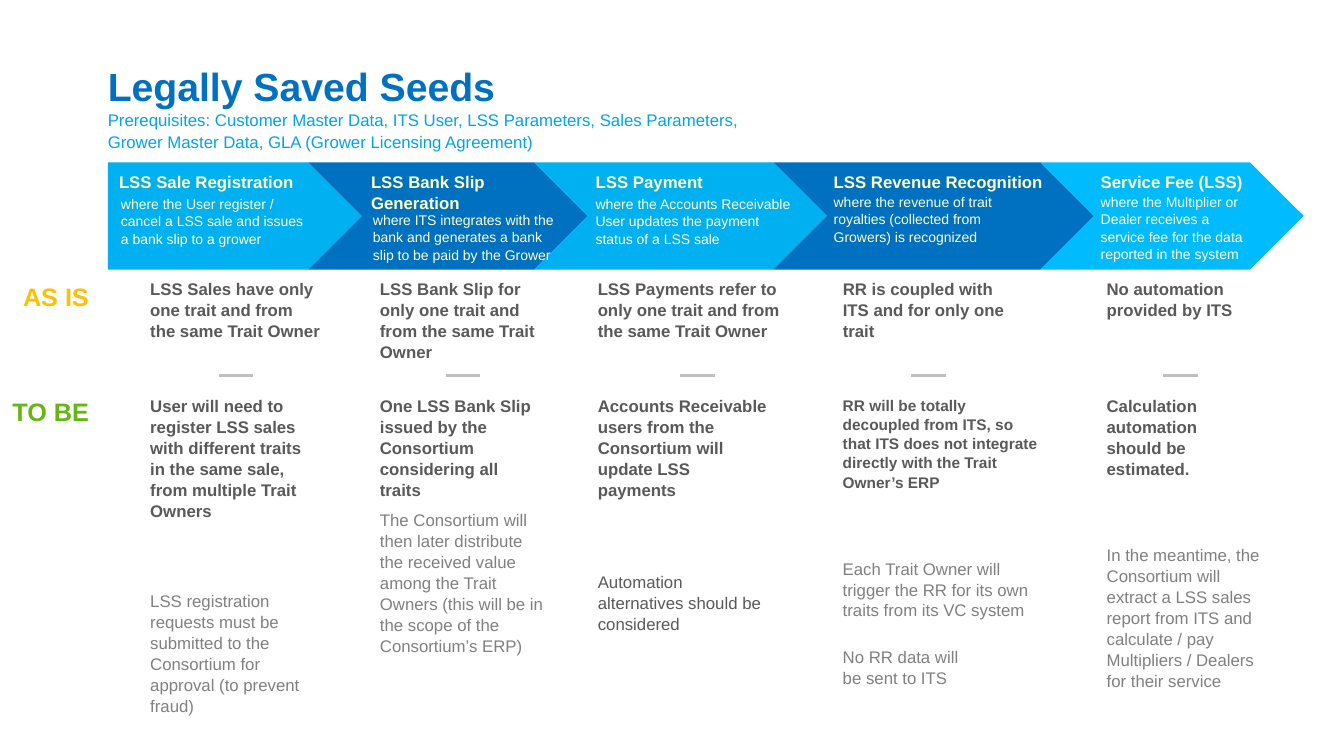
"""Build the Legally Saved Seeds process slide, as is and to be."""
from lxml import etree
from pptx import Presentation
from pptx.dml.color import RGBColor
from pptx.enum.shapes import MSO_CONNECTOR, MSO_SHAPE
from pptx.enum.text import MSO_ANCHOR, MSO_AUTO_SIZE, PP_ALIGN
from pptx.oxml.ns import qn
from pptx.util import Pt

STRAIGHT = MSO_CONNECTOR.STRAIGHT
PENTAGON, CHEVRON = MSO_SHAPE.PENTAGON, MSO_SHAPE.CHEVRON
TOP, BOTTOM = MSO_ANCHOR.TOP, MSO_ANCHOR.BOTTOM
LEFT, RIGHT = PP_ALIGN.LEFT, PP_ALIGN.RIGHT
FIXED = MSO_AUTO_SIZE.NONE

FONT = "Arial"
COLORS = {
    "blue": "0070C0", "sky": "00B0F0", "bright": "00BCFF", "subtitle": "00A5E2",
    "cream": "FFFFCC", "dark": "595959", "gray": "808080", "dash": "BFBFBF",
    "amber": "FFC000", "green": "66B512",
}

TITLE = "Legally Saved Seeds"
SUBTITLE = ("Prerequisites: Customer Master Data, ITS User, LSS Parameters, Sales Parameters, "
            "Grower Master Data, GLA (Grower Licensing Agreement)")

ARROW_TOP, ARROW_HEIGHT = 116, 76.5
HEADING_TOP, AS_IS_TOP, DASH_TOP, TO_BE_TOP = 122.4, 198.7, 268.5, 282.25
DASH_LENGTH = 24.4
ROW_LABELS = [("AS IS", 200.2, "amber"), ("TO BE", TO_BE_TOP, "green")]

STEPS = [
    {
        "arrow": (181.5, "sky"), "dash": 156.25, "left": 107.3,
        "heading": (85, 167, "LSS Sale Registration"),
        "detail": (86.4, 139, 134,
                   "where the User register / cancel a LSS sale and issues a bank slip to a grower"),
        "as_is": (121.7, "LSS Sales have only one trait and from the same Trait Owner"),
        "to_be": (121.7, 12, "User will need to register LSS sales with different traits "
                             "in the same sale, from multiple Trait Owners"),
        "note": (421.2, 121.7, "gray", "LSS registration requests must be submitted to the "
                                       "Consortium for approval (to prevent fraud)"),
    },
    {
        "arrow": (199.5, "blue"), "dash": 318.25, "left": 271.4,
        "heading": (265, 133.2, "LSS Bank Slip Generation"),
        "detail": (266.4, 150.5, 131, "where ITS integrates with the bank and generates "
                                      "a bank slip to be paid by the Grower"),
        "as_is": (118.8, "LSS Bank Slip for only one trait and from the same Trait Owner"),
        "to_be": (110.9, 12, "One LSS Bank Slip issued by the Consortium considering all traits"),
        "note": (363.6, 121.7, "gray",
                 "The Consortium will then later distribute the received value among the "
                 "Trait Owners (this will be in the scope of the Consortium’s ERP)"),
    },
    {
        "arrow": (209.25, "sky"), "dash": 486, "left": 427,
        "heading": (425.5, 153.4, "LSS Payment"),
        "detail": (425.5, 139, 141,
                   "where the Accounts Receivable User updates the payment status of a LSS sale"),
        "as_is": (141.8, "LSS Payments refer to only one trait and from the same Trait Owner"),
        "to_be": (121.7, 12,
                  "Accounts Receivable users from the Consortium will update LSS payments"),
        "note": (407.5, 121.7, "dark", "Automation alternatives should be considered"),
    },
    {
        "arrow": (229, "blue"), "dash": 651, "left": 602,
        "heading": (595.5, 150.5, "LSS Revenue Recognition"),
        "detail": (595.5, 137.5, 131,
                   "where the revenue of trait royalties (collected from Growers) is recognized"),
        "as_is": (121.7, "RR is coupled with ITS and for only one trait"),
        "to_be": (141.8, 11, "RR will be totally decoupled from ITS, so that ITS does not "
                             "integrate directly with the Trait Owner’s ERP"),
        "note": (398.2, 136.8, "gray",
                 "Each Trait Owner will trigger the RR for its own traits from its VC system\n"
                 "No RR data will \vbe sent to ITS"),
    },
    {
        "arrow": (188, "bright"), "dash": 831, "left": 790.5,
        "heading": (786.25, 131, "Service Fee (LSS)"),
        "detail": (786.25, 137.5, 107.3, "where the Multiplier or Dealer receives a service fee "
                                         "for the data reported in the system"),
        "as_is": (105.1, "No automation provided by ITS"),
        "to_be": (105.1, 12, "Calculation automation should be estimated."),
        "note": (388.8, 118.8, "gray",
                 "In the meantime, the Consortium will extract a LSS sales report from ITS and "
                 "calculate / pay Multipliers / Dealers for their service"),
    },
]


def color(name):
    return RGBColor.from_string(COLORS[name])


def write(box, text, size, ink, bold=False, align=LEFT, anchor=TOP, spacing=1.04):
    frame = box.text_frame
    frame.word_wrap = True
    frame.auto_size = FIXED
    frame.vertical_anchor = anchor
    frame.margin_left = frame.margin_top = frame.margin_right = frame.margin_bottom = 0
    frame.text = text
    for index, para in enumerate(frame.paragraphs):
        para.alignment = align
        para.line_spacing = spacing
        para.space_before = Pt(18 if index else 0)
        para.font.name = FONT
        para.font.size = Pt(size)
        para.font.bold = bold
        para.font.color.rgb = color(ink)


def place(box, left, top, width, height):
    box.left, box.top, box.width, box.height = Pt(left), Pt(top), Pt(width), Pt(height)


def add_text(page, left, top, width, text, size, ink, height=20, **style):
    box = page.shapes.add_textbox(Pt(left), Pt(top), Pt(width), Pt(height))
    write(box, text, size, ink, **style)


def add_arrows(page):
    left = 77
    for index, step in enumerate(STEPS):
        width, fill = step["arrow"]
        arrow = page.shapes.add_shape(CHEVRON if index else PENTAGON, Pt(left), Pt(ARROW_TOP),
                                      Pt(width), Pt(ARROW_HEIGHT))
        arrow.shadow.inherit = False
        arrow.fill.solid()
        arrow.fill.fore_color.rgb = color(fill)
        arrow.line.fill.background()
        left += width - ARROW_HEIGHT / 2


def add_dash(page, left):
    dash = page.shapes.add_connector(STRAIGHT, Pt(left), Pt(DASH_TOP),
                                     Pt(left + DASH_LENGTH), Pt(DASH_TOP))
    dash.line.color.rgb = color("dash")
    dash.line.width = Pt(2.25)
    etree.SubElement(dash.element.spPr, qn("a:effectLst"))


def add_step(page, step):
    left, top, width, text = step["detail"]
    heading_left, heading_width, heading = step["heading"]
    add_text(page, heading_left, HEADING_TOP, heading_width, heading, 12, "cream", bold=True)
    add_text(page, left, top, width, text, 10, "cream")

    left = step["left"]
    width, text = step["as_is"]
    add_text(page, left, AS_IS_TOP, width, text, 12, "dark", height=40, bold=True)
    add_dash(page, step["dash"])
    width, size, text = step["to_be"]
    add_text(page, left, TO_BE_TOP, width, text, size, "dark", height=40, bold=True)
    top, width, ink, text = step["note"]
    add_text(page, left, top, width, text, 12, ink, height=40)


def main():
    deck = Presentation()
    deck.slide_width, deck.slide_height = Pt(960), Pt(540)
    page = deck.slides.add_slide(deck.slide_layouts[0])
    title, subtitle = page.placeholders
    place(title, 77, 10.8, 850.3, 67.7)
    write(title, TITLE, 28, "blue", bold=True, anchor=BOTTOM, spacing=1.0)
    place(subtitle, 77, 77, 490.3, 20)
    write(subtitle, SUBTITLE, 12, "subtitle", spacing=1.1)

    add_arrows(page)
    for label, top, ink in ROW_LABELS:
        add_text(page, 2, top, 61.5, label, 18, ink, bold=True, align=RIGHT)
    for step in STEPS:
        add_step(page, step)
    deck.save("out.pptx")


if __name__ == "__main__":
    main()
